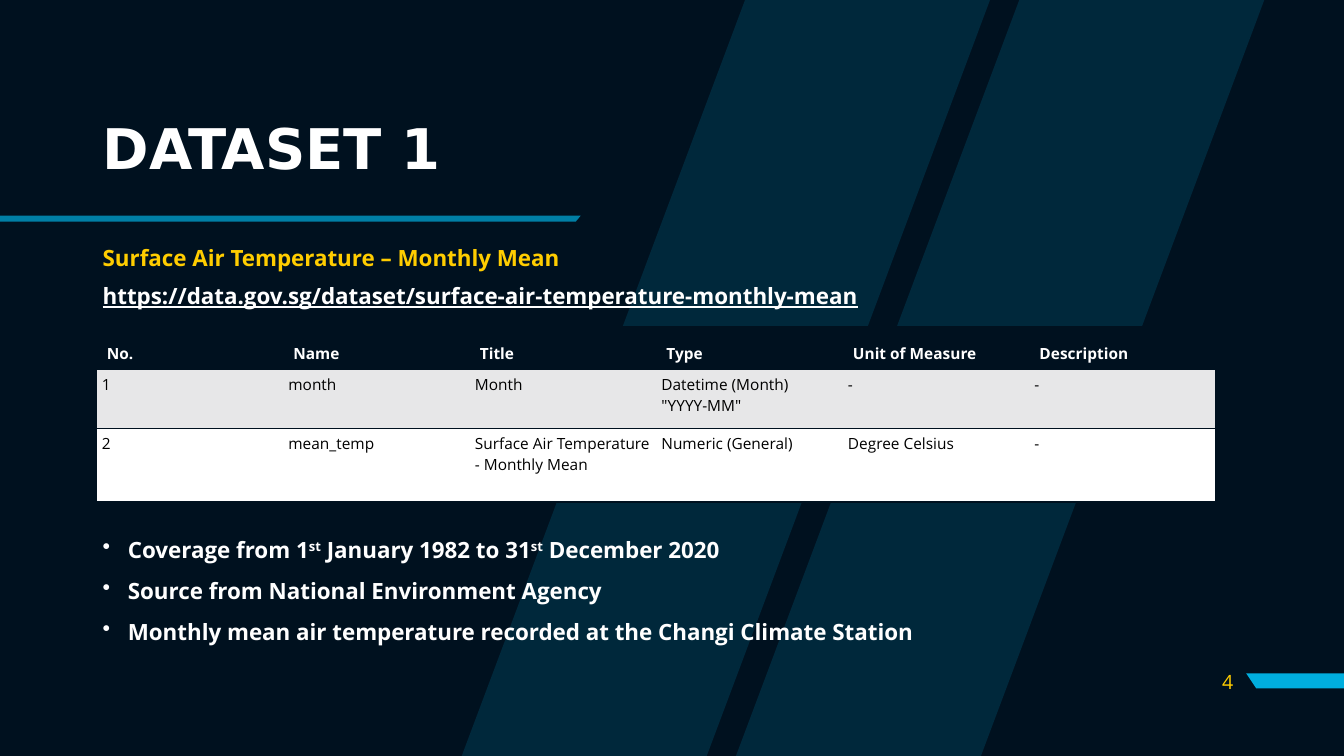
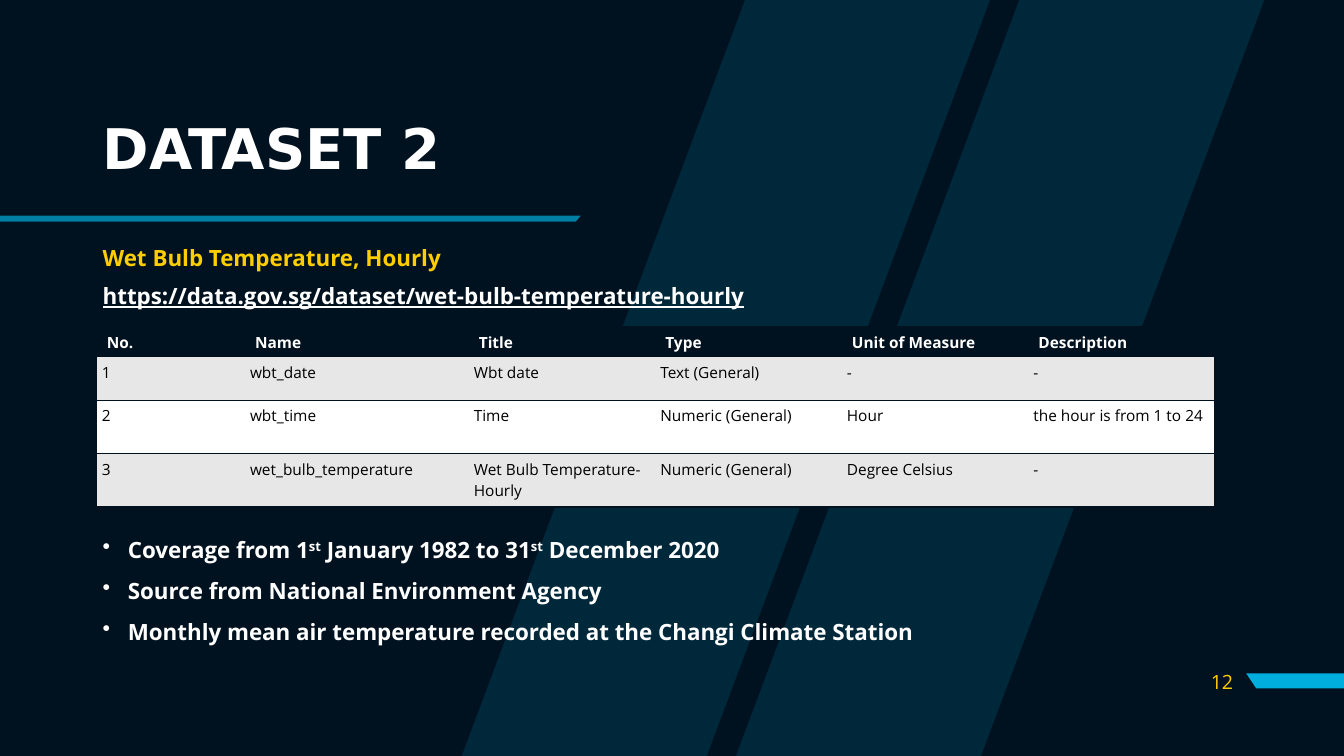
"""Builds two dataset slides with a shared dark, banded style."""
from lxml import etree
from pptx import Presentation
from pptx.dml.color import RGBColor
from pptx.enum import text as t
from pptx.oxml import ns
from pptx.util import Inches, Pt

NAVY = RGBColor(0x00, 0x11, 0x1F)
CYAN = RGBColor(0x00, 0xAE, 0xDE)
GOLD = RGBColor(0xFF, 0xCD, 0x00)
WHITE = RGBColor(0xFF, 0xFF, 0xFF)
BLACK = RGBColor(0x00, 0x00, 0x00)
GREY = RGBColor(0xE7, 0xE7, 0xE8)
TITLE_FONT = "DejaVu Sans"
BODY_FONT = "Open Sans"
NO_GRID_STYLE = "{2D5ABB26-0587-4C30-8999-92F81FD0307C}"

HEADINGS = ["No.", "Name", "Title", "Type", "Unit of Measure", "Description"]
FACTS = [
    [("Coverage from 1", 0), ("st", 30), (" January 1982 to 31", 0),
     ("st", 30), (" December 2020", 0)],
    [("Source from National Environment Agency", 0)],
    [("Monthly mean air temperature recorded at the Changi Climate Station", 0)],
]
DATASETS = [
    dict(
        number="4",
        title="DATASET 1",
        name="Surface Air Temperature – Monthly Mean",
        address="https://data.gov.sg/dataset/surface-air-temperature-monthly-mean",
        widths=[1.85] * 6,
        heights=[0.42, 0.59, 0.73],
        fields=[
            ["1", "month", "Month", 'Datetime (Month)\n"YYYY-MM"', "-", "-"],
            ["2", "mean_temp", "Surface Air Temperature - Monthly Mean",
             "Numeric (General)", "Degree Celsius", "-"],
        ],
    ),
    dict(
        number="12",
        title="DATASET 2",
        name="Wet Bulb Temperature, Hourly",
        address="https://data.gov.sg/dataset/wet-bulb-temperature-hourly",
        widths=[1.47, 2.22] + [1.85] * 4,
        heights=[0.3, 0.43, 0.53, 0.53],
        fields=[
            ["1", "wbt_date", "Wbt date", "Text (General)", "-", "-"],
            ["2", "wbt_time", "Time", "Numeric (General)", "Hour",
             "the hour is from 1 to 24"],
            ["3", "wet_bulb_temperature", "Wet Bulb Temperature-Hourly",
             "Numeric (General)", "Degree Celsius", "-"],
        ],
    ),
]


class Deck:
    """Holds the presentation style and the current slide."""

    def __init__(self):
        self.prs = Presentation()
        self.prs.slide_width = Inches(13.33)
        self.prs.slide_height = Inches(7.5)
        backdrop = self.prs.slide_master.background.fill
        backdrop.solid()
        backdrop.fore_color.rgb = NAVY

    def start(self, title, number):
        """Adds a slide with its bands, title and number."""
        self.slide = self.prs.slides.add_slide(self.prs.slide_layouts[6])
        stripe = [(10.11, 0), (7.3, 7.5), (9.73, 7.5), (12.54, 0)]
        self.outline([stripe, [(x - 2.72, y) for x, y in stripe]], 15)
        self.outline([[(13.33, 6.68), (13.33, 6.83), (12.46, 6.83), (12.36, 6.68)]])
        self.outline([[(0, 2.14), (0, 2.2), (5.71, 2.2), (5.76, 2.14)]], 70)

        page = self.frame(11.73, 6.56, 0.6, 0.4, t.MSO_ANCHOR.MIDDLE).paragraphs[0]
        page.alignment = t.PP_ALIGN.RIGHT
        page.space_after = Pt(6)
        self.run(page, number, 14, GOLD)

        heading = self.frame(0.92, 0.4, 11.5, 1.45, t.MSO_ANCHOR.BOTTOM).paragraphs[0]
        heading.line_spacing = 0.9
        self.run(heading, title, 40, WHITE, True, TITLE_FONT)

    def outline(self, contours, opacity=100):
        """Draws closed contours as one cyan shape."""
        contours = [[(Inches(x), Inches(y)) for x, y in c] for c in contours]
        builder = self.slide.shapes.build_freeform(*contours[0][0])
        for index, (first, *rest) in enumerate(contours):
            if index:
                builder.move_to(*first)
            builder.add_line_segments(rest, close=True)
        band = builder.convert_to_shape()
        band.shadow.inherit = False
        band.line.fill.background()
        band.fill.solid()
        band.fill.fore_color.rgb = CYAN
        if opacity < 100:
            tint = band.fill._xPr.find(".//" + ns.qn("a:srgbClr"))
            etree.SubElement(tint, ns.qn("a:alpha"), val=str(opacity * 1000))

    def frame(self, left, top, width, height, anchor=t.MSO_ANCHOR.TOP):
        """Adds a wrapping text box and returns its text frame."""
        box = self.slide.shapes.add_textbox(*map(Inches, (left, top, width, height)))
        box.text_frame.word_wrap = True
        box.text_frame.vertical_anchor = anchor
        return box.text_frame

    def run(self, paragraph, words, size, color, bold=False, font=BODY_FONT):
        """Adds one styled run and returns its font."""
        piece = paragraph.add_run()
        piece.text = words
        piece.font.name = font
        piece.font.size = Pt(size)
        piece.font.bold = bold
        piece.font.color.rgb = color
        return piece.font

    def source(self, name, address):
        """Adds the dataset name above its underlined address."""
        body = self.frame(0.92, 2.26, 7.99, 0.86, t.MSO_ANCHOR.BOTTOM)
        for paragraph, words, color in (
            (body.paragraphs[0], name, GOLD),
            (body.add_paragraph(), address, WHITE),
        ):
            paragraph.line_spacing = 0.9
            paragraph.space_before = Pt(10)
            self.run(paragraph, words, 16, color, True).underline = color == WHITE

    def bullets(self, facts):
        """Adds the bullet list; each fact is a list of text and baseline."""
        body = self.frame(0.92, 5.27, 10.24, 1.5)
        for index, fact in enumerate(facts):
            paragraph = body.add_paragraph() if index else body.paragraphs[0]
            paragraph.space_before = Pt(10)
            layout = paragraph._p.get_or_add_pPr()
            layout.set("marL", str(Inches(0.25)))
            layout.set("indent", str(-Inches(0.25)))
            etree.SubElement(layout, ns.qn("a:buChar"), char="•")
            for words, baseline in fact:
                font = self.run(paragraph, words, 16, WHITE, True)
                if baseline:
                    font._rPr.set("baseline", str(baseline * 1000))

    def table(self, rows, widths, heights):
        """Adds the field table with a dark header and banded rows."""
        grid = self.slide.shapes.add_table(
            len(rows), len(widths), Inches(0.96), Inches(3.24),
            Inches(sum(widths)), Inches(sum(heights))).table
        grid.horz_banding = False
        grid._tbl.tblPr.find(ns.qn("a:tableStyleId")).text = NO_GRID_STYLE
        for column, width in zip(grid.columns, widths):
            column.width = Inches(width)
        for r, (row, height) in enumerate(zip(rows, heights)):
            grid.rows[r].height = Inches(height)
            for c, words in enumerate(row):
                sides = ["L"] * (c == 0) + ["R"] * (c == len(row) - 1) + ["T", "B"]
                self.cell(grid.cell(r, c), words, r, sides)

    def cell(self, cell, words, row, sides):
        """Fills, borders and writes one table cell."""
        header = row == 0
        cell.fill.solid()
        cell.fill.fore_color.rgb = NAVY if header else GREY if row % 2 else WHITE
        cell.margin_left = Inches(0.1 if header else 0.05)
        cell.margin_right = cell.margin_top = cell.margin_bottom = Inches(0.05)
        cell.vertical_anchor = t.MSO_ANCHOR.BOTTOM if header else t.MSO_ANCHOR.TOP
        for place, side in enumerate(sides):
            border = etree.Element(ns.qn("a:ln" + side), w=str(Pt(1)))
            ink = etree.SubElement(border, ns.qn("a:solidFill"))
            etree.SubElement(ink, ns.qn("a:srgbClr"), val=str(NAVY))
            cell._tc.tcPr.insert(place, border)
        paragraph = cell.text_frame.paragraphs[0]
        for index, line in enumerate(words.split("\n")):
            if index:
                paragraph.add_line_break()
            self.run(paragraph, line, 11, WHITE if header else BLACK, header)


def main():
    deck = Deck()
    for dataset in DATASETS:
        deck.start(dataset["title"], dataset["number"])
        deck.source(dataset["name"], dataset["address"])
        deck.bullets(FACTS)
        deck.table([HEADINGS] + dataset["fields"], dataset["widths"], dataset["heights"])
    deck.prs.save("out.pptx")


if __name__ == "__main__":
    main()
